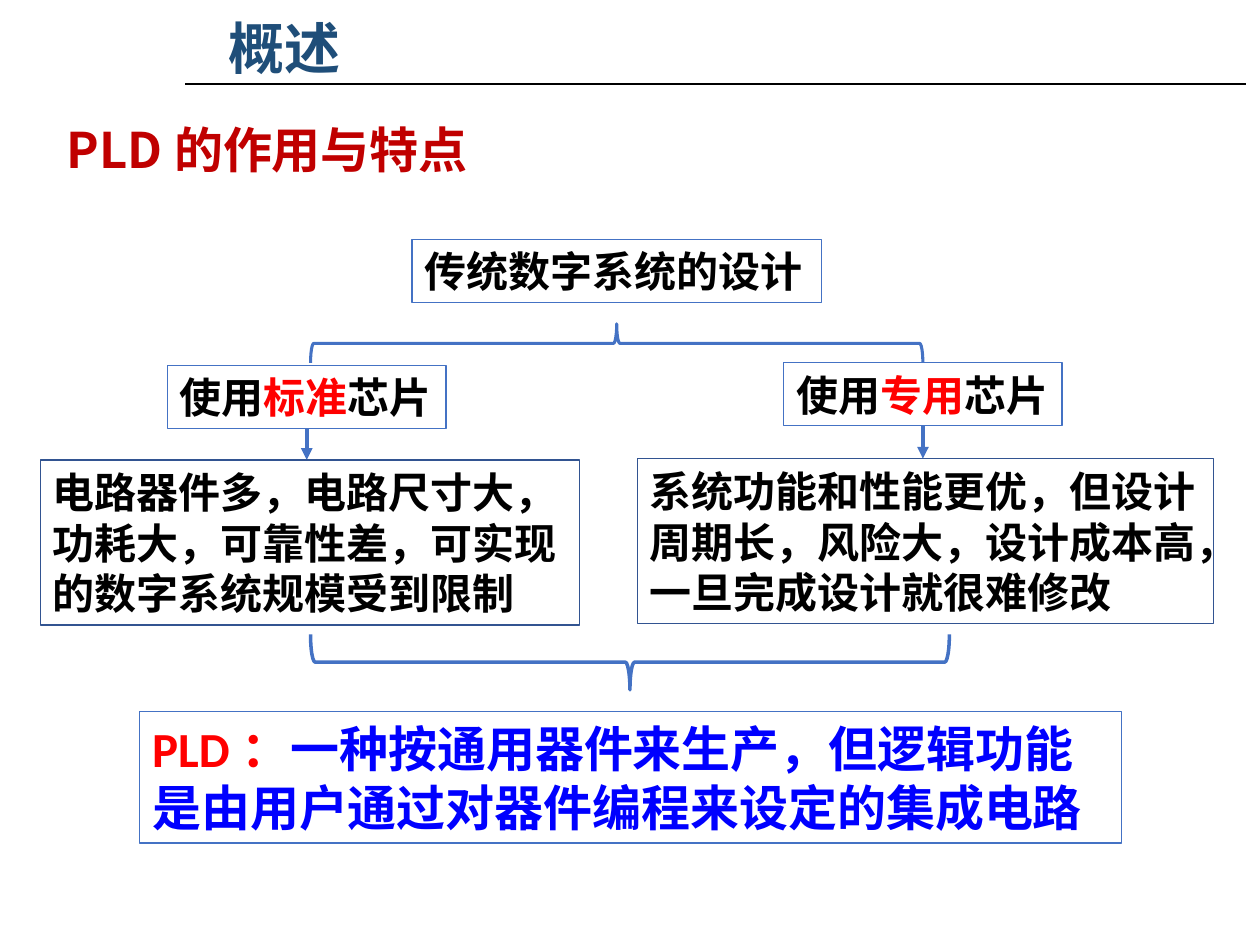
import lxml.etree
import pptx
import pptx.dml.color
import pptx.enum.shapes
import pptx.enum.text
import pptx.oxml.ns
import pptx.util

RGBColor = pptx.dml.color.RGBColor
BLACK = RGBColor(0x00, 0x00, 0x00)
NAVY = RGBColor(0x1F, 0x4E, 0x79)
CRIMSON = RGBColor(0xC0, 0x00, 0x00)
RED = RGBColor(0xFF, 0x00, 0x00)
BLUE = RGBColor(0x00, 0x00, 0xFF)
OUTLINE = RGBColor(0x44, 0x72, 0xC4)
DARK_OUTLINE = RGBColor(0x32, 0x54, 0x91)

HEADING_FONT = "Noto Sans CJK SC"
BODY_FONT = "Calibri"
SHAPES = pptx.enum.shapes.MSO_SHAPE
CELL = pptx.util.Inches(0.1)  # the slide is a grid of 100 columns by 75 rows


def cells(*counts):
    return [round(count * CELL) for count in counts]


def add_child(parent, tag, **attributes):
    child = lxml.etree.SubElement(parent, pptx.oxml.ns.qn(tag))
    for name, value in attributes.items():
        child.set(name, value)
    return child


def write(shape, parts, size, font_name):
    """Fill a shape with one paragraph of (text, colour) parts."""
    frame = shape.text_frame
    frame.word_wrap = True
    frame.auto_size = pptx.enum.text.MSO_AUTO_SIZE.NONE
    frame.vertical_anchor = pptx.enum.text.MSO_ANCHOR.MIDDLE
    paragraph = frame.paragraphs[0]
    paragraph.alignment = pptx.enum.text.PP_ALIGN.LEFT
    for text, colour in parts:
        run = paragraph.add_run()
        run.text = text
        run.font.size = pptx.util.Pt(size)
        run.font.bold = True
        run.font.color.rgb = colour
        run.font.name = font_name
        properties = run.font._element
        properties.set("lang", "zh-CN")
        add_child(properties, "a:ea", typeface=font_name)


def add_line(slide, start, end, colour, width, arrow=False):
    line = slide.shapes.add_connector(
        pptx.enum.shapes.MSO_CONNECTOR.STRAIGHT, *cells(*start, *end))
    line.line.color.rgb = colour
    line.line.width = pptx.util.Pt(width)
    if arrow:
        add_child(line.line._get_or_add_ln(), "a:tailEnd", type="triangle")
    add_child(line._element.spPr, "a:effectLst")


def add_box(slide, box, parts, size=24, outline=OUTLINE):
    shape = slide.shapes.add_shape(SHAPES.RECTANGLE, *cells(*box))
    shape.shadow.inherit = False
    shape.fill.background()
    shape.line.color.rgb = outline
    shape.line.width = pptx.util.Pt(0.75)
    write(shape, parts, size, BODY_FONT)


def add_brace(slide, kind, box, width):
    """Lay a brace on its side so that it covers the given box."""
    left, top, across, down = box
    shape = slide.shapes.add_shape(kind, *cells(
        left + (across - down) / 2, top + (down - across) / 2, down, across))
    shape.rotation = 270
    shape.shadow.inherit = False
    shape.fill.background()
    shape.line.color.rgb = OUTLINE
    shape.line.width = pptx.util.Pt(width)


def add_header(slide, box):
    """Slide title, rule below it and section heading."""
    left, top, width, height = box
    add_line(slide, (left + 10.4, top + 6.2), (left + width, top + 6.2), BLACK, 1.25)
    title = slide.shapes.title
    title.left, title.top, title.width, title.height = cells(left + 12.8, top, 67.6, 6.4)
    write(title, [("概述", NAVY)], 32, HEADING_FONT)
    heading = slide.shapes.add_textbox(*cells(left, top + height - 5.7, 65.9, 5.7))
    write(heading, [("PLD的作用与特点", CRIMSON)], 28, HEADING_FONT)


def add_branch(slide, box, label_left, keyword, description):
    """Chip label, arrow and description, stacked in the box."""
    left, top, width, height = box
    label_width, label_height, detail_height = 22.1, 5, 13.1
    detail_top = top + height - detail_height
    centre = label_left + label_width / 2
    add_box(slide, (label_left, top, label_width, label_height),
            [("使用", BLACK), (keyword, RED), ("芯片", BLACK)])
    add_line(slide, (centre, top + label_height), (centre, detail_top),
             OUTLINE, 2.25, arrow=True)
    add_box(slide, (left, detail_top, width, detail_height),
            [(description, BLACK)], outline=DARK_OUTLINE)


def add_conclusion(slide, box):
    """Brace joining both branches and the definition of PLD below it."""
    left, top, width, height = box
    add_brace(slide, SHAPES.LEFT_BRACE, (left + 13.55, top, 50.7, 4.4), 2)
    add_box(slide, (left, top + height - 10.4, width, 10.4),
            [("PLD：", RED),
             ("一种按通用器件来生产，但逻辑功能是由用户通过对器件编程来设定的集成电路", BLUE)],
            size=28)


def main():
    presentation = pptx.Presentation()
    presentation.slide_width, presentation.slide_height = cells(100, 75)
    slide = presentation.slides.add_slide(presentation.slide_layouts[5])

    add_header(slide, (4.3, 0.5, 94.6, 14.2))

    # Traditional design and its two branches
    add_box(slide, (32.7, 19, 32.5, 5), [("传统数字系统的设计", BLACK)])
    add_brace(slide, SHAPES.RIGHT_BRACE, (24.65, 25.7, 48.6, 3.1), 1.75)
    add_branch(slide, (3.2, 29, 42.8, 20.6), 13.3, "标准",
               "电路器件多，电路尺寸大，功耗大，可靠性差，可实现的数字系统规模受到限制")
    add_branch(slide, (50.6, 28.8, 45.7, 20.7), 62.2, "专用",
               "系统功能和性能更优，但设计周期长，风险大，设计成本高，一旦完成设计就很难修改")

    add_conclusion(slide, (11.1, 50.35, 77.9, 16.55))
    presentation.save("out.pptx")


if __name__ == "__main__":
    main()
